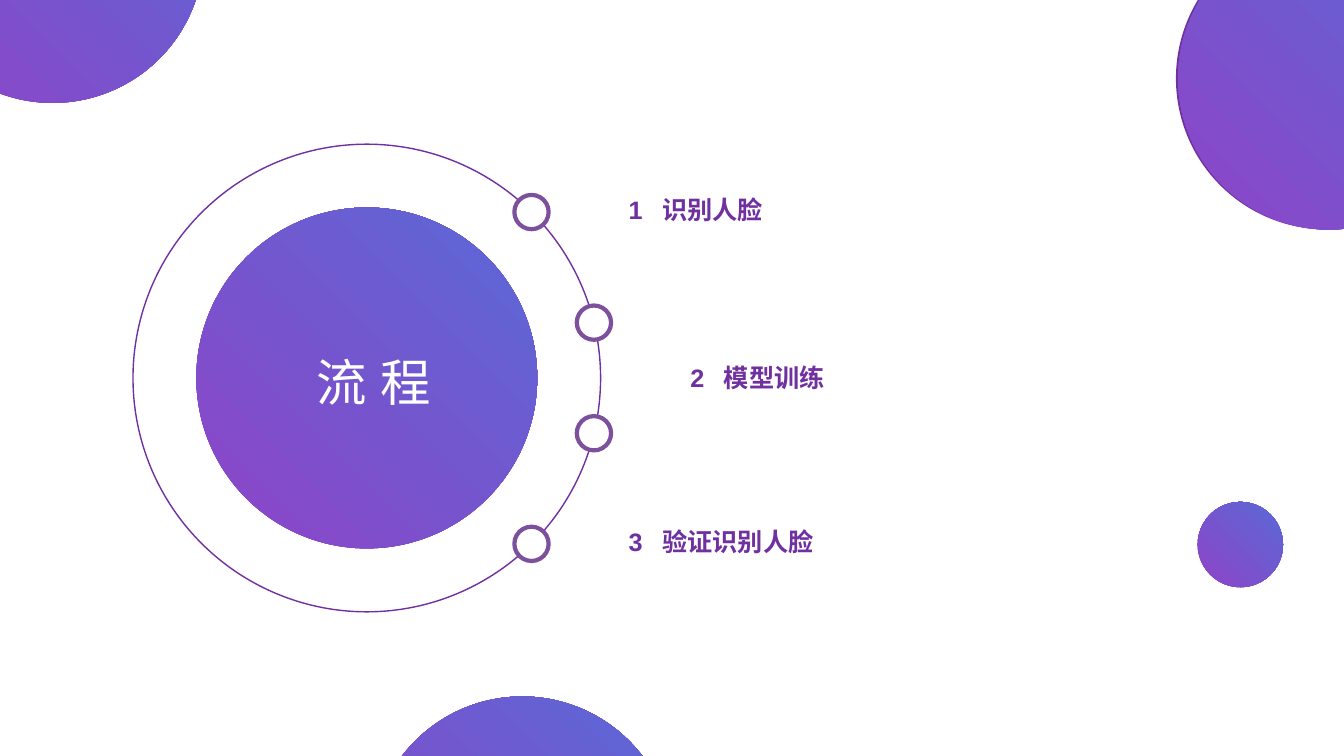
from dataclasses import dataclass
from math import sqrt

from pptx import Presentation
from pptx.dml import color
from pptx.enum import shapes, text
from pptx.util import Pt


@dataclass(frozen=True)
class Theme:
    start: str = "8E43C7"
    end: str = "5A69D6"
    deep: str = "7030A0"
    rim: str = "7C509D"
    white: str = "FFFFFF"
    font: str = "Arial"
    title: int = 36
    label: int = 18


THEME = Theme()


def rgb(code):
    return color.RGBColor.from_string(code)


def disc(slide, mid, size, fill=None, line=None, width=1):
    x, y = mid
    shape = slide.shapes.add_shape(
        shapes.MSO_SHAPE.OVAL, Pt(x - size / 2), Pt(y - size / 2), Pt(size), Pt(size)
    )
    shape.shadow.inherit = False
    if fill:
        shape.fill.solid()
        shape.fill.fore_color.rgb = rgb(fill)
    else:
        shape.fill.background()
    if line:
        shape.line.color.rgb = rgb(line)
        shape.line.width = Pt(width)
    else:
        shape.line.fill.background()
    return shape


def blend(slide, mid, size):
    fill = disc(slide, mid, size).fill
    fill.gradient()
    fill.gradient_angle = 45
    for stop, code in zip(fill.gradient_stops, (THEME.start, THEME.end)):
        stop.color.rgb = rgb(code)


def write(slide, left, top, width, height, words, size, code, bold=False):
    box = slide.shapes.add_textbox(Pt(left), Pt(top), Pt(width), Pt(height))
    frame = box.text_frame
    frame.word_wrap = True
    frame.margin_right = 0
    para = frame.paragraphs[0]
    for word in words:
        run = para.add_run()
        run.text = word
        run.font.name = THEME.font
        run.font.size = Pt(size)
        run.font.bold = bold
        run.font.color.rgb = rgb(code)
    return para


def title(slide, words):
    para = write(slide, 150.5, 247, 226, 51, [words], THEME.title, THEME.white)
    para.alignment = text.PP_ALIGN.CENTER
    for run in para.runs:
        run.font._element.set("spc", "1000")


def label(slide, left, top, width, mark, words):
    para = write(slide, left, top, width, 29, [mark, "\t", words],
                 THEME.label, THEME.deep, True)
    props = para._p.get_or_add_pPr()
    props.set("marL", str(Pt(24)))
    props.set("indent", str(Pt(-24)))


def nodes(slide, mid, reach, count, pitch):
    x, y = mid
    for i in range(count):
        rise = (i - (count - 1) / 2) * pitch
        spot = (x + sqrt(reach ** 2 - rise ** 2), y + rise)
        disc(slide, spot, 24.5, THEME.white, THEME.rim, 3)


def main():
    deck = Presentation()
    deck.slide_width, deck.slide_height = Pt(960), Pt(540)
    slide = deck.slides.add_slide(deck.slide_layouts[6])

    hub, reach = (262, 270), 167
    blend(slide, hub, 243.5)
    title(slide, "流程")
    disc(slide, hub, 2 * reach, line=THEME.deep)
    nodes(slide, hub, reach, 4, 79)

    disc(slide, (948, 56), 216, THEME.deep)
    for mid, size in (
        ((37.5, -34.5), 216),
        ((949.5, 56), 216),
        ((373, 605.5), 216),
        ((886, 389), 61),
    ):
        blend(slide, mid, size)

    for left, top, width, mark, words in (
        (442, 135.5, 112, "1", "识别人脸"),
        (486, 255.5, 112, "2", "模型训练"),
        (442, 372.5, 164, "3", "验证识别人脸"),
    ):
        label(slide, left, top, width, mark, words)

    deck.save("out.pptx")


if __name__ == "__main__":
    main()
